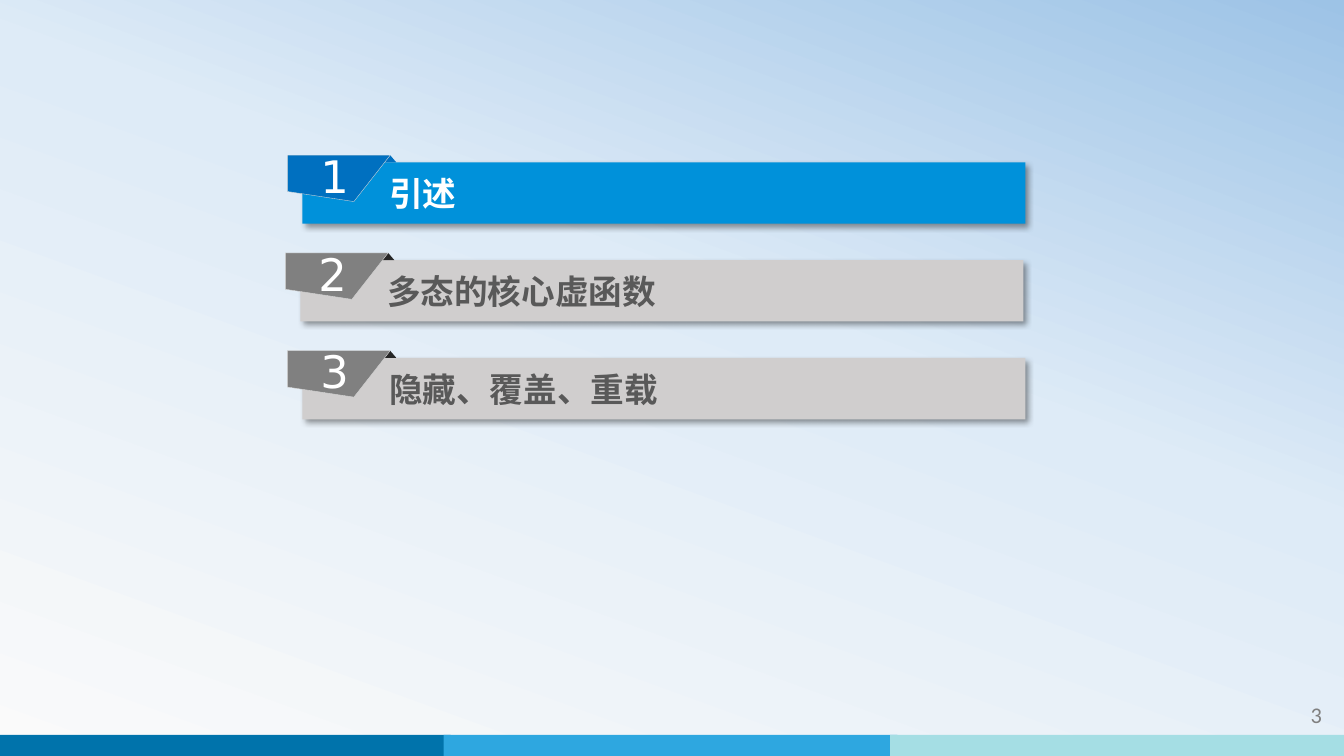
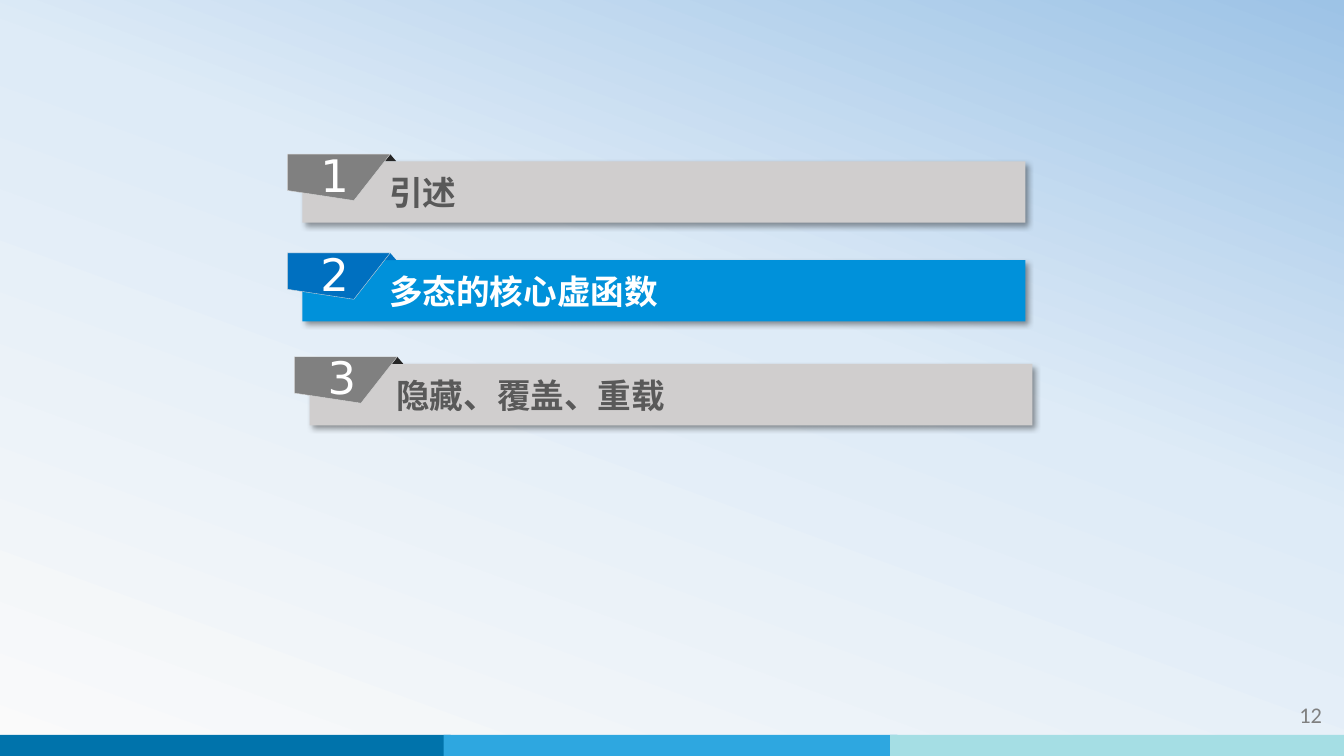
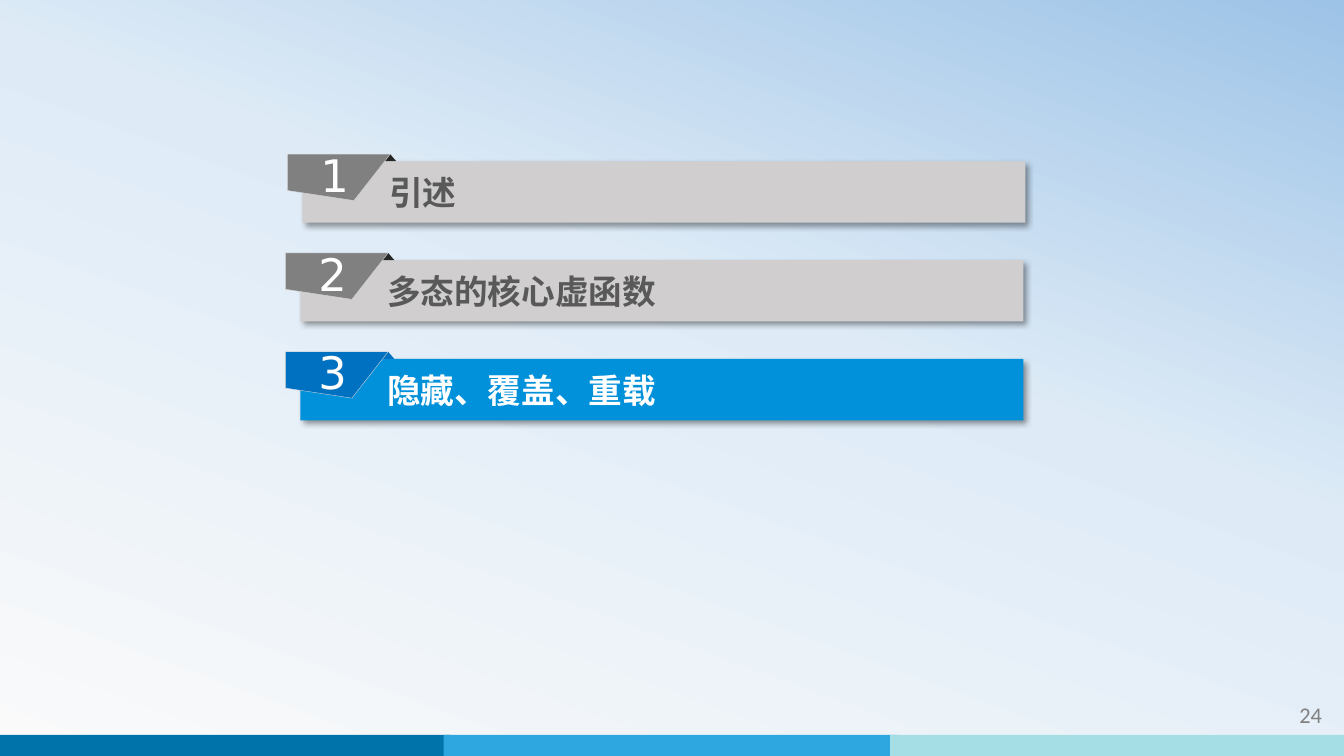
from lxml.etree import SubElement
from pptx import Presentation
from pptx.dml.color import RGBColor
from pptx.enum.shapes import MSO_SHAPE as SHAPE
from pptx.enum.text import MSO_ANCHOR as ANCHOR, PP_ALIGN as ALIGN
from pptx.oxml.ns import qn
from pptx.util import Inches, Pt

# Shared look
WIDTH, HEIGHT = 13.33, 7.5
BACKGROUND = [(0, "FAFAFA"), (58, "DEEBF7"), (100, "9DC3E6")]
BANDS = ["0073AB", "2EA7E0", "A5DEE4"]
BAND_LEFT, BAND_PITCH, BAND_W, BAND_H = -0.03, 4.43, 4.5, 0.21
HEADING_FONT, NUMBER_FONT, PAGE_FONT = "Noto Sans CJK SC", "DejaVu Sans", "Calibri"
WHITE, GREY, OUTLINE = "FFFFFF", "808080", "D9D9D9"

# Agenda rows: bar, tab and fold colours, then the heading colour
ACTIVE = ("0091DA", "0070C0", "0070C0", WHITE)
INACTIVE = ("D0CECE", GREY, "262626", "595959")
BAR_LEFT, BAR_TOP, BAR_PITCH, BAR_W, BAR_H = 3, 1.6, 0.98, 7.17, 0.61
TAB_DX, FOLD_DX, TAB_DY = -0.15, 0.81, -0.07
TAB_OUTLINE = [(0, 0), (1.02, 0), (0.66, 0.46), (0, 0.36)]

SECTIONS = ["引述", "多态的核心虚函数", "隐藏、覆盖、重载"]
# Page number, active section, offset of each row from the grid
PAGES = [
    (3, 1, [(0, 0.01), (-0.02, 0), (0, -0.01)]),
    (12, 2, [(0, 0), (0, 0), (0.07, 0.05)]),
    (24, 3, [(0, 0), (-0.02, 0), (-0.02, 0)]),
]


def rgb(color):
    return RGBColor.from_string(color)


def paint(shape, fill, line=None):
    shape.shadow.inherit = False
    shape.fill.solid()
    shape.fill.fore_color.rgb = rgb(fill)
    if line:
        shape.line.color.rgb = rgb(line)
        shape.line.width = Pt(0.25)
    else:
        shape.line.fill.background()


def add_block(shapes, kind, left, top, width, height, fill):
    block = shapes.add_shape(kind, *map(Inches, (left, top, width, height)))
    paint(block, fill)
    return block


def write(shape, text, size, font, color, align, bold=False):
    tf = shape.text_frame
    tf.word_wrap = True
    tf.text = text
    p = tf.paragraphs[0]
    p.alignment = align
    r = p.runs[0]
    r.font.size, r.font.name, r.font.bold = Pt(size), font, bold
    r.font.color.rgb = rgb(color)
    SubElement(r.font._element, qn("a:ea"), typeface=font)
    return tf


def cast_shadow(shape):
    effects = shape.element.spPr.find(qn("a:effectLst"))
    shadow = SubElement(effects, qn("a:outerShdw"), blurRad=str(Pt(4)), dist=str(Pt(3)),
                        dir=str(45 * 60000), algn="tl", rotWithShape="0")
    black = SubElement(shadow, qn("a:srgbClr"), val="000000")
    SubElement(black, qn("a:alpha"), val="40000")


def set_background(master):
    fill = master.background.fill
    fill.gradient()
    fill.gradient_angle = 70
    stops = master.element.find(".//" + qn("p:bg")).find(".//" + qn("a:gsLst"))
    for stop in list(stops):
        stops.remove(stop)
    for position, color in BACKGROUND:
        stop = SubElement(stops, qn("a:gs"), pos=str(position * 1000))
        SubElement(stop, qn("a:srgbClr"), val=color)


def set_bands(layout, s):
    """Draw the bottom bands on a slide and move them to its layout."""
    for placeholder in list(layout.placeholders):
        layout.shapes.element.remove(placeholder.element)
    bands = [add_block(s.shapes, SHAPE.RECTANGLE, BAND_LEFT + i * BAND_PITCH,
                       HEIGHT - BAND_H, BAND_W, BAND_H, color)
             for i, color in enumerate(BANDS)]
    for band in bands:
        layout.shapes.element.append(band.element)


def add_page_number(s, number):
    box = s.shapes.add_textbox(*map(Inches, (11.62, 6.91, 1.59, 0.4)))
    write(box, str(number), 16, PAGE_FONT, GREY, ALIGN.RIGHT)


def add_tab(shapes, left, top, number, fill):
    points = [(Inches(left + x), Inches(top + y)) for x, y in TAB_OUTLINE]
    builder = shapes.build_freeform(*points[0])
    builder.add_line_segments(points[1:], close=True)
    tab = builder.convert_to_shape()
    paint(tab, fill, OUTLINE)
    tf = write(tab, str(number), 32, NUMBER_FONT, WHITE, ALIGN.CENTER)
    tf.vertical_anchor = ANCHOR.MIDDLE
    tf.margin_left, tf.margin_top = Inches(0.09), Inches(0.04)
    tf.margin_right, tf.margin_bottom = Inches(0.17), Inches(0.1)


def add_agenda_row(s, number, heading, left, top, colors):
    bar_fill, tab_fill, fold_fill, text_color = colors
    shapes = s.shapes.add_group_shape().shapes
    bar = add_block(shapes, SHAPE.RECTANGLE, left, top, BAR_W, BAR_H, bar_fill)
    cast_shadow(bar)
    tf = write(bar, heading, 24, HEADING_FONT, text_color, ALIGN.LEFT, bold=True)
    tf.vertical_anchor = ANCHOR.MIDDLE
    tf.margin_left = Inches(0.86)
    add_block(shapes, SHAPE.ISOSCELES_TRIANGLE, left + FOLD_DX, top + TAB_DY,
              0.12, 0.07, fold_fill)
    add_tab(shapes, left + TAB_DX, top + TAB_DY, number, tab_fill)


def main():
    prs = Presentation()
    prs.slide_width, prs.slide_height = Inches(WIDTH), Inches(HEIGHT)
    layout = prs.slide_layouts[6]
    set_background(prs.slide_master)

    for page, active, offsets in PAGES:
        s = prs.slides.add_slide(layout)
        if len(prs.slides) == 1:
            set_bands(layout, s)
        else:
            # Later slides carry no leftover footer placeholders
            for placeholder in list(s.placeholders):
                s.shapes.element.remove(placeholder.element)
        add_page_number(s, page)
        for i, (heading, (dx, dy)) in enumerate(zip(SECTIONS, offsets)):
            add_agenda_row(s, i + 1, heading, BAR_LEFT + dx, BAR_TOP + i * BAR_PITCH + dy,
                           ACTIVE if i + 1 == active else INACTIVE)

    prs.save("out.pptx")


main()
